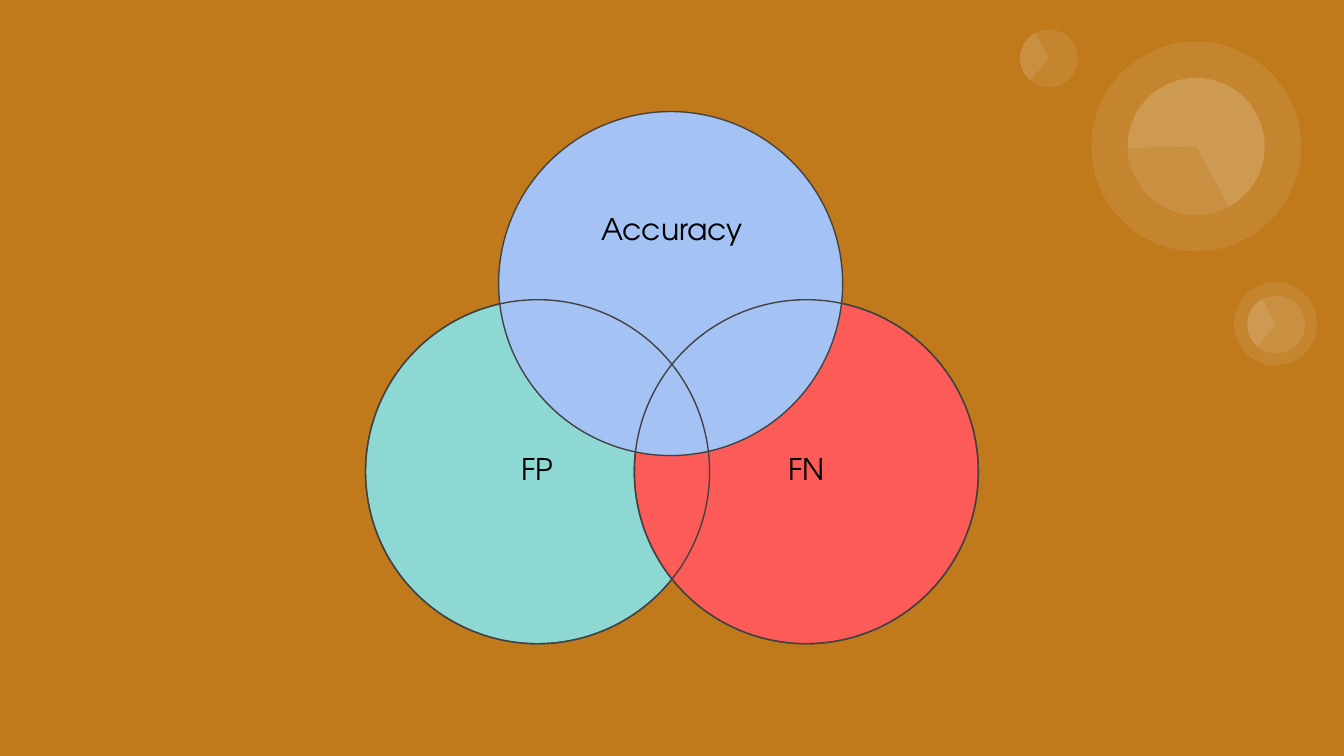
from lxml import etree
from pptx import Presentation
from pptx.dml.color import RGBColor
from pptx.enum.shapes import MSO_SHAPE as Kind
from pptx.enum.text import PP_ALIGN as Align
from pptx.oxml.ns import qn
from pptx.util import Inches, Pt

BACK = RGBColor(0xC0, 0x79, 0x1B)
WHITE = RGBColor(0xFF, 0xFF, 0xFF)
BLACK = RGBColor(0, 0, 0)
GREY = RGBColor(0x42, 0x42, 0x42)
TEAL = RGBColor(0x8D, 0xD8, 0xD3)
RED = RGBColor(0xFD, 0x5B, 0x58)
BLUE = RGBColor(0xA4, 0xC2, 0xF4)
FONT = "TeX Gyre Adventor"

# Widescreen page, 16 to 9
deck = Presentation()
deck.slide_width, deck.slide_height = Inches(10), Inches(10 * 9 / 16)
slide = deck.slides.add_slide(deck.slide_layouts[6])
slide.background.fill.solid()
slide.background.fill.fore_color.rgb = BACK


def add_round(kind, left, top, size, turn, color):
    """Add a circle or pie; without a colour it stays hollow."""
    shape = slide.shapes.add_shape(
        kind, Inches(left), Inches(top), Inches(size), Inches(size))
    shape.rotation = turn
    shape.shadow.inherit = False
    if color is None:
        shape.fill.background()
    else:
        shape.fill.solid()
        shape.fill.fore_color.rgb = color
    return shape


# Pale bubbles: left, top, size, rotation, start of the pie (None for no pie)
PIE_END = 123.14
bubbles = [
    (8.39, 0.58, 1.02, 215.9, 193.77),
    (8.12, 0.31, 1.56, 215.8, None),
    (9.18, 2.1, 0.62, 35.9, None),
    (9.28, 2.2, 0.43, 35.8, 57),
    (7.59, 0.22, 0.43, 35.8, 57),
]
for left, top, size, turn, start in bubbles:
    kinds = [Kind.OVAL] if start is None else [Kind.OVAL, Kind.PIE]
    for kind in kinds:
        shape = add_round(kind, left, top, size, turn, WHITE)
        shape.line.fill.background()
        if kind == Kind.PIE:
            shape.adjustments[0] = start
            shape.adjustments[1] = PIE_END
        tint = shape.fill._xPr.find(".//" + qn("a:srgbClr"))
        etree.SubElement(tint, qn("a:alpha")).set("val", "9000")

# Venn circles, then the lower two again as outlines on top
circles = [
    (2.72, 2.23, TEAL),
    (4.72, 2.23, RED),
    (3.71, 0.83, BLUE),
    (2.72, 2.23, None),
    (4.72, 2.23, None),
]
for left, top, color in circles:
    shape = add_round(Kind.OVAL, left, top, 2.56, 3, color)
    shape.line.color.rgb = GREY
    shape.line.width = Pt(0.75)

# Labels
for text, left, top in [("Accuracy", 4.35, 1.47), ("FP", 3.35, 3.25), ("FN", 5.35, 3.25)]:
    box = slide.shapes.add_textbox(Inches(left), Inches(top), Inches(1.3), Inches(0.53))
    frame = box.text_frame
    frame.word_wrap = True
    frame.margin_left = frame.margin_right = Inches(0.1)
    frame.margin_top = frame.margin_bottom = Inches(0.1)
    frame.text = text
    para = frame.paragraphs[0]
    para.alignment = Align.CENTER
    font = para.runs[0].font
    font.name, font.size = FONT, Pt(16)
    font.color.rgb = BLACK

deck.save("out.pptx")
